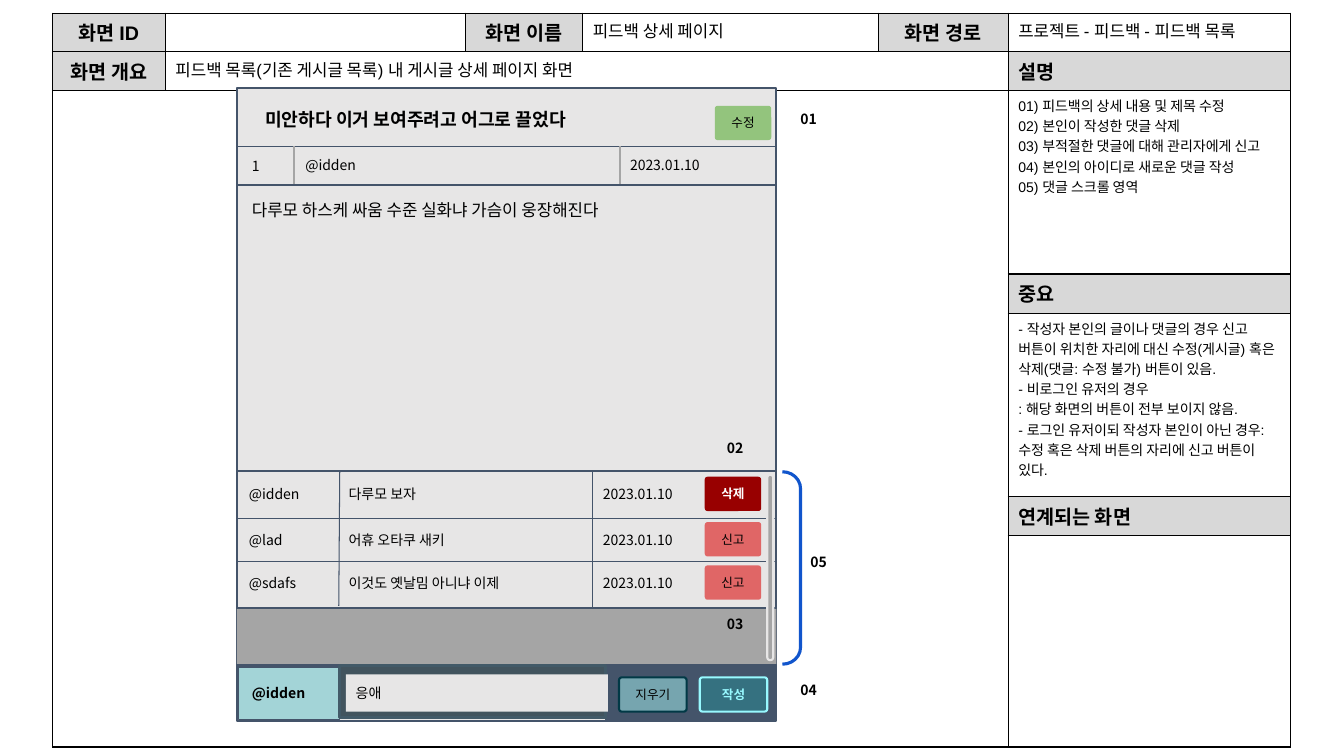
import pptx
import pptx.util
import pptx.dml.color
import pptx.enum.shapes
import pptx.enum.text
import pptx.oxml
import pptx.oxml.ns
from dataclasses import dataclass
from lxml import etree
from typing import Any, Optional

Inches = pptx.util.Inches
Pt = pptx.util.Pt
qn = pptx.oxml.ns.qn
Kind = pptx.enum.shapes.MSO_SHAPE
Align = pptx.enum.text.PP_ALIGN
Anchor = pptx.enum.text.MSO_ANCHOR


@dataclass(frozen=True)
class Theme:
    """Fonts, colours and type sizes."""
    sans: str = "Arial"
    cjk: str = "Noto Sans CJK KR"
    ink: str = "000000"
    white: str = "FFFFFF"
    head: str = "D8D8D8"
    panel: str = "E7E6E6"
    navy: str = "44546A"
    gray: str = "A5A5A5"
    user: str = "A3D4D7"
    slate: str = "42545E"
    rim: str = "425A68"
    edit: str = "93C47D"
    drop: str = "980000"
    flag: str = "E06666"
    send: str = "25959C"
    glow: str = "98F9FF"
    clear: str = "76A5AF"
    deep: str = "013946"
    blue: str = "1155CC"
    label: int = 14
    title: int = 13
    body: int = 12
    note: int = 10
    button: int = 9


T = Theme()


@dataclass(frozen=True)
class Box:
    """A filled or outlined shape."""
    x: float
    y: float
    w: float
    h: float
    fill: Optional[str] = None
    line: Optional[str] = None
    weight: float = 0.75
    kind: Any = Kind.RECTANGLE
    adj: Optional[float] = None
    alpha: Optional[int] = None


@dataclass(frozen=True)
class Rule:
    """A straight line."""
    x1: float
    y1: float
    x2: float
    y2: float
    weight: float = 0.75
    color: str = T.navy


@dataclass(frozen=True)
class Label:
    """A piece of free text."""
    text: str
    x: float
    y: float
    w: float
    size: int = T.note
    bold: bool = False


@dataclass(frozen=True)
class Button:
    """A rounded button with its caption."""
    text: str
    x: float
    y: float
    fill: str
    w: float = 0.56
    line: Optional[str] = None
    color: str = T.ink
    bold: bool = False
    alpha: Optional[int] = None


@dataclass(frozen=True)
class Reply:
    """One row of the comment list."""
    y: float
    user: str
    text: str
    act: str
    fill: str
    color: str = T.ink
    bold: bool = False


def rgb(code: str) -> Any:
    """Turn a hex code into a colour."""
    return pptx.dml.color.RGBColor.from_string(code)


def add_run(para: Any, text: str, size: int, bold: bool = False,
            color: str = T.ink, face: str = T.cjk) -> None:
    """Append one formatted run."""
    run = para.add_run()
    run.text = text
    font = run.font
    font.size, font.bold, font.name = Pt(size), bold, face
    font.color.rgb = rgb(color)
    latin = run._r.rPr.find(qn("a:latin"))
    east = etree.Element(qn("a:ea"), typeface=T.cjk)
    latin.addnext(east)


def set_frame(frame: Any, anchor: Any = Anchor.TOP) -> Any:
    """Set wrap, insets and anchor; return the first paragraph."""
    frame.word_wrap = True
    frame.auto_size = pptx.enum.text.MSO_AUTO_SIZE.NONE
    frame.vertical_anchor = anchor
    frame.margin_left = frame.margin_right = Inches(0.1)
    frame.margin_top = frame.margin_bottom = Inches(0.1)
    return frame.paragraphs[0]


def add_box(slide: Any, box: Box) -> Any:
    """Draw a shape."""
    shape = slide.shapes.add_shape(box.kind, *map(Inches, (box.x, box.y, box.w, box.h)))
    shape.shadow.inherit = False
    if box.adj is not None:
        shape.adjustments[0] = box.adj
    if box.fill:
        shape.fill.solid()
        shape.fill.fore_color.rgb = rgb(box.fill)
        if box.alpha:
            tint = shape.element.spPr.find(qn("a:solidFill"))[0]
            etree.SubElement(tint, qn("a:alpha"), val=str(box.alpha * 1000))
    else:
        shape.fill.background()
    if box.line:
        shape.line.color.rgb = rgb(box.line)
        shape.line.width = Pt(box.weight)
    else:
        shape.line.fill.background()
    return shape


def add_rule(slide: Any, rule: Rule) -> None:
    """Draw a straight line."""
    ends = map(Inches, (rule.x1, rule.y1, rule.x2, rule.y2))
    line = slide.shapes.add_connector(pptx.enum.shapes.MSO_CONNECTOR.STRAIGHT, *ends)
    line.line.color.rgb = rgb(rule.color)
    line.line.width = Pt(rule.weight)
    etree.SubElement(line.element.spPr, qn("a:effectLst"))


def add_label(slide: Any, label: Label) -> None:
    """Draw free text."""
    shape = slide.shapes.add_textbox(*map(Inches, (label.x, label.y, label.w, 0.37)))
    add_run(set_frame(shape.text_frame), label.text, label.size, label.bold)


def add_button(slide: Any, item: Button) -> None:
    """Draw a button."""
    shape = add_box(slide, Box(item.x, item.y, item.w, 0.34, item.fill, item.line, 1.5,
                               Kind.ROUNDED_RECTANGLE, 0.08, item.alpha))
    para = set_frame(shape.text_frame, Anchor.MIDDLE)
    para.alignment = Align.CENTER
    add_run(para, item.text, T.button, item.bold, item.color, T.sans)


def style_cell(cell: Any) -> None:
    """Give a cell black borders and no fill."""
    props = cell._tc.get_or_add_tcPr()
    for side in "LRTB":
        edge = etree.SubElement(props, qn("a:ln" + side), w=str(Pt(1)))
        paint = etree.SubElement(edge, qn("a:solidFill"))
        etree.SubElement(paint, qn("a:srgbClr"), val=T.ink)
    cell.fill.background()


def add_grid(slide: Any) -> None:
    """Draw the page form."""
    cols, rows = (1.12, 2.98, 1.16, 2.93, 1.29, 2.8), (0.38, 0.38, 1.82, 0.39, 1.82, 0.38, 2.1)
    grid = slide.shapes.add_table(len(rows), len(cols), Inches(0.52), Inches(0.13),
                                  Inches(sum(cols)), Inches(sum(rows))).table
    grid.first_row = grid.horz_banding = False
    for col, width in zip(grid.columns, cols):
        col.width = Inches(width)
    for row, height in zip(grid.rows, rows):
        row.height = Inches(height)
    heads = {(0, 0): "화면 ID", (0, 2): "화면 이름", (0, 4): "화면 경로", (1, 0): "화면 개요",
             (1, 5): "설명", (3, 5): "중요", (5, 5): "연계되는 화면"}
    texts = {
        (0, 3): ["피드백 상세 페이지"],
        (0, 5): ["프로젝트 - 피드백 - 피드백 목록"],
        (1, 1): ["피드백 목록(기존 게시글 목록) 내 게시글 상세 페이지 화면"],
        (2, 5): ["01) 피드백의 상세 내용 및 제목 수정", "02) 본인이 작성한 댓글 삭제",
                 "03) 부적절한 댓글에 대해 관리자에게 신고", "04) 본인의 아이디로 새로운 댓글 작성",
                 "05) 댓글 스크롤 영역"],
        (4, 5): ["- 작성자 본인의 글이나 댓글의 경우 신고 버튼이 위치한 자리에 대신 수정(게시글) "
                 "혹은 삭제(댓글: 수정 불가) 버튼이 있음.",
                 "- 비로그인 유저의 경우", ": 해당 화면의 버튼이 전부 보이지 않음.",
                 "- 로그인 유저이되 작성자 본인이 아닌 경우: 수정 혹은 삭제 버튼의 자리에 "
                 "신고 버튼이 있다."]}
    for r in range(len(rows)):
        for c in range(len(cols)):
            cell, spot = grid.cell(r, c), (r, c)
            style_cell(cell)
            frame = cell.text_frame
            if spot in heads:
                cell.fill.solid()
                cell.fill.fore_color.rgb = rgb(T.head)
                frame.paragraphs[0].alignment = Align.LEFT if c == 5 else Align.CENTER
                add_run(frame.paragraphs[0], heads[spot], T.label, True, face=T.sans)
            elif spot not in texts:
                etree.SubElement(frame.paragraphs[0]._p, qn("a:endParaRPr"), sz=str(T.note * 100))
            for i, line in enumerate(texts.get(spot, [])):
                para = frame.add_paragraph() if i else frame.paragraphs[0]
                add_run(para, line, T.body if r < 2 else T.note, face=T.sans)
    grid.cell(1, 1).merge(grid.cell(1, 4))
    grid.cell(2, 0).merge(grid.cell(6, 4))


def add_title(slide: Any, panel: Any) -> None:
    """Place the post title just above the panel."""
    title = slide.shapes.title
    title.left, title.top, title.width, title.height = map(Inches, (2.53, 0.97, 3.93, 0.42))
    para = set_frame(title.text_frame)
    para.alignment = Align.LEFT
    add_run(para, "미안하다 이거 보여주려고 어그로 끌었다", T.title, True)
    panel.element.addnext(title.element)


def add_post(slide: Any) -> None:
    """Draw the post window."""
    left, right = 2.35, 7.7
    add_title(slide, add_box(slide, Box(left, 0.87, 5.35, 6.28, T.panel, T.navy, 1.5)))
    add_box(slide, Box(left, 6.04, 5.35, 0.55, T.gray))
    for y, weight in ((1.45, 0.75), (1.84, 1.5), (4.67, 1.5), (5.14, 0.75),
                      (5.57, 0.75), (6.03, 1.5), (6.6, 2.25)):
        add_rule(slide, Rule(left, y, right, y, weight))
    for rule in (Rule(2.92, 1.45, 2.92, 1.83, 1.5, T.gray), Rule(6.15, 1.45, 6.15, 1.83, 1.5, T.gray),
                 Rule(3.37, 4.67, 3.36, 6.01), Rule(5.88, 4.67, 5.88, 6.03)):
        add_rule(slide, rule)
    for box in (Box(2.37, 6.62, 1, 0.52, T.user, T.navy), Box(6.01, 6.6, 1.69, 0.55, T.navy, T.navy),
                Box(3.37, 6.6, 2.64, 0.52, T.slate, T.rim, 2.25), Box(3.43, 6.69, 2.6, 0.37, T.panel),
                Box(7.61, 4.71, 0.06, 1.84, T.gray, T.panel, 1.5, Kind.ROUNDED_RECTANGLE, 0.5),
                Box(7.76, 4.68, 0.18, 1.91, None, T.blue, 2.25, Kind.RIGHT_BRACKET, 0.93)):
        add_box(slide, box)
    for label in (Label("1", 2.4, 1.46, 0.56), Label("@idden", 2.93, 1.45, 1.69),
                  Label("2023.01.10", 6.15, 1.45, 1.69),
                  Label("다루모 하스케 싸움 수준 실화냐 가슴이 웅장해진다", 2.4, 1.88, 5.26, T.body),
                  Label("@idden", 2.4, 6.69, 0.79, bold=True), Label("응애", 3.43, 6.69, 2.6)):
        add_label(slide, label)
    for reply in (Reply(4.72, "@idden", "다루모 보자", "삭제", T.drop, T.white, True),
                  Reply(5.17, "@lad", "어휴 오타쿠 새키", "신고", T.flag),
                  Reply(5.6, "@sdafs", "이것도 옛날밈 아니냐 이제", "신고", T.flag)):
        for text, x, w in ((reply.user, 2.37, 0.85), (reply.text, 3.36, 2.24), ("2023.01.10", 5.88, 1.19)):
            add_label(slide, Label(text, x, reply.y, w))
        add_button(slide, Button(reply.act, 6.99, reply.y + 0.01, reply.fill,
                                 color=reply.color, bold=reply.bold))
    for item in (Button("수정", 7.09, 1.05, T.edit),
                 Button("지우기", 6.14, 6.72, T.clear, 0.67, T.deep),
                 Button("작성", 6.94, 6.72, T.send, 0.67, T.glow, T.glow, True, 46)):
        add_button(slide, item)
    for i, (x, y) in enumerate(((7.84, 1), (7.11, 4.26), (7.11, 6.01), (7.84, 6.66), (7.94, 5.39)), 1):
        add_label(slide, Label(f"{i:02}", x, y, 0.51, bold=True))


deck = pptx.Presentation()
deck.slide_width, deck.slide_height = Inches(13.33), Inches(7.5)
page = deck.slides.add_slide(deck.slide_layouts[5])
add_grid(page)
add_post(page)
deck.save("out.pptx")
